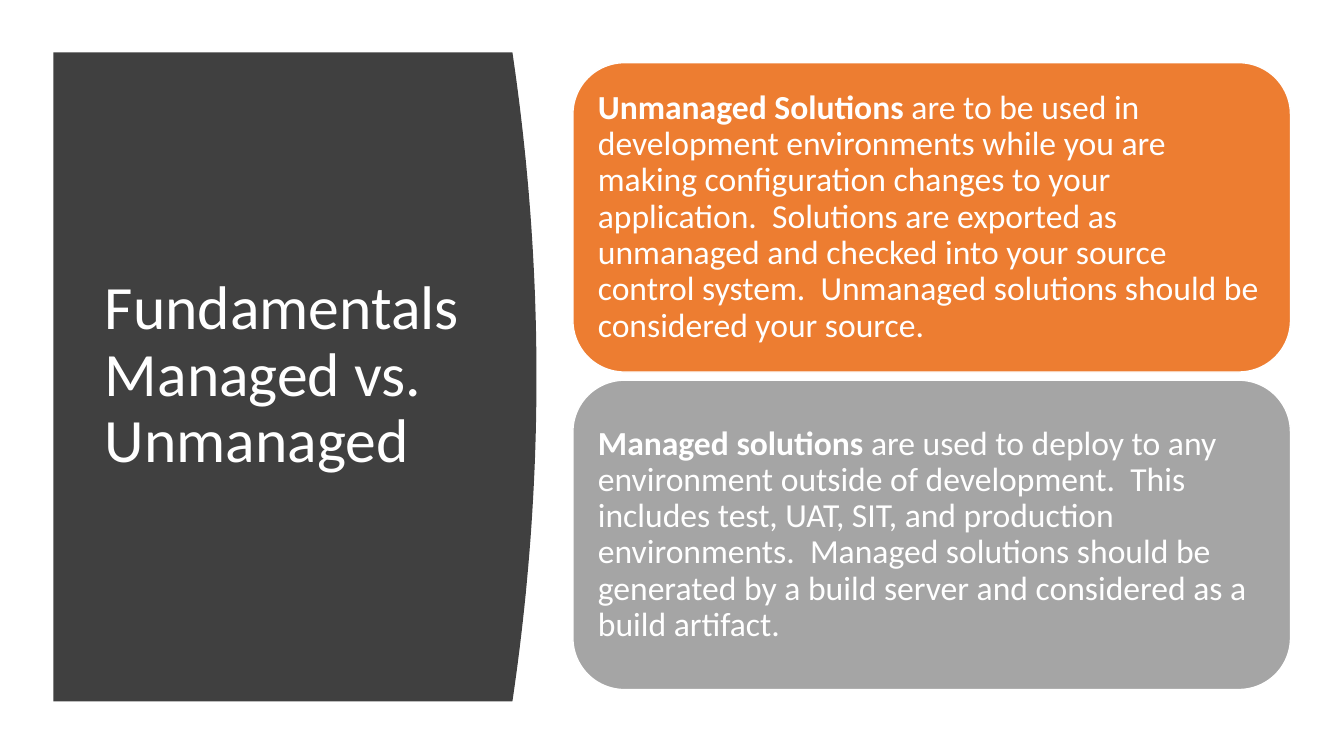
"""Build the slide comparing managed and unmanaged solutions."""
from dataclasses import dataclass

from pptx import Presentation
from pptx.dml.color import RGBColor
from pptx.enum.shapes import MSO_SHAPE
from pptx.enum.text import MSO_ANCHOR, MSO_AUTO_SIZE, PP_ALIGN
from pptx.util import Pt

ROUNDED = MSO_SHAPE.ROUNDED_RECTANGLE
MIDDLE = MSO_ANCHOR.MIDDLE
LEFT = PP_ALIGN.LEFT
NO_AUTOSIZE = MSO_AUTO_SIZE.NONE
TITLE_ONLY = 5


@dataclass(frozen=True)
class Theme:
    font: str = "Calibri"
    white: str = "FFFFFF"
    panel: str = "404040"
    orange: str = "ED7D31"
    gray: str = "A5A5A5"
    title_size: int = 44
    body_size: int = 24
    inset: float = 7.2
    line_spacing: float = 0.9


class SlideBuilder:
    def __init__(self, slide, theme):
        self.slide = slide
        self.theme = theme

    def fill_text(self, shape, runs, size):
        frame = shape.text_frame
        frame.word_wrap = True
        frame.auto_size = NO_AUTOSIZE
        frame.vertical_anchor = MIDDLE
        frame.margin_left = frame.margin_right = Pt(self.theme.inset)
        frame.margin_top = frame.margin_bottom = Pt(self.theme.inset)
        paragraph = frame.paragraphs[0]
        paragraph.alignment = LEFT
        paragraph.line_spacing = self.theme.line_spacing
        for text, bold in runs:
            run = paragraph.add_run()
            run.text = text
            run.font.name = self.theme.font
            run.font.size = Pt(size)
            run.font.bold = bold
            run.font.color.rgb = RGBColor.from_string(self.theme.white)

    def curved_panel(self, left, top, edge, height, bulge, steps=48):
        curve = []
        for step in range(steps + 1):
            offset = 2 * step / steps - 1
            x = edge + bulge * (1 - offset ** 2)
            curve.append((Pt(x), Pt(top + height * step / steps)))
        builder = self.slide.shapes.build_freeform(Pt(left), Pt(top))
        builder.add_line_segments(curve + [(Pt(left), Pt(top + height))])
        panel = builder.convert_to_shape()
        panel.shadow.inherit = False
        panel.fill.solid()
        panel.fill.fore_color.rgb = RGBColor.from_string(self.theme.panel)
        panel.line.fill.background()

    def title(self, text, left, top, width, height):
        title = self.slide.shapes.title
        title.left, title.top = Pt(left), Pt(top)
        title.width, title.height = Pt(width), Pt(height)
        self.slide.shapes[-1]._element.addnext(title._element)
        self.fill_text(title, [(text, False)], self.theme.title_size)

    def card(self, runs, color, left, top, width, height):
        card = self.slide.shapes.add_shape(
            ROUNDED, Pt(left), Pt(top), Pt(width), Pt(height))
        card.shadow.inherit = False
        card.fill.solid()
        card.fill.fore_color.rgb = RGBColor.from_string(color)
        card.line.color.rgb = RGBColor.from_string(self.theme.white)
        card.line.width = Pt(1)
        self.fill_text(card, runs, self.theme.body_size)


def main():
    theme = Theme()
    presentation = Presentation()
    presentation.slide_width, presentation.slide_height = Pt(960), Pt(540)
    slide = presentation.slides.add_slide(presentation.slide_layouts[TITLE_ONLY])
    builder = SlideBuilder(slide, theme)

    builder.curved_panel(left=38.2, top=37.4, edge=366, height=463.6, bulge=17.2)
    builder.title("Fundamentals Managed vs. Unmanaged", 67.7, 80, 269.3, 377.3)

    cards = [
        (theme.orange, "Unmanaged Solutions ",
         "are to be used in development environments while you are making "
         "configuration changes to your application.  Solutions are exported "
         "as unmanaged and checked into your source control system.  "
         "Unmanaged solutions should be considered your source."),
        (theme.gray, "Managed solutions ",
         "are used to deploy to any environment outside of development.  "
         "This includes test, UAT, SIT, and production environments.  "
         "Managed solutions should be generated by a build server and "
         "considered as a build artifact."),
    ]
    card_height, gap = 221, 5.8
    for index, (color, term, explanation) in enumerate(cards):
        builder.card([(term, True), (explanation, False)], color,
                     409.2, 44.8 + index * (card_height + gap), 512.6, card_height)

    presentation.save("out.pptx")


if __name__ == "__main__":
    main()
